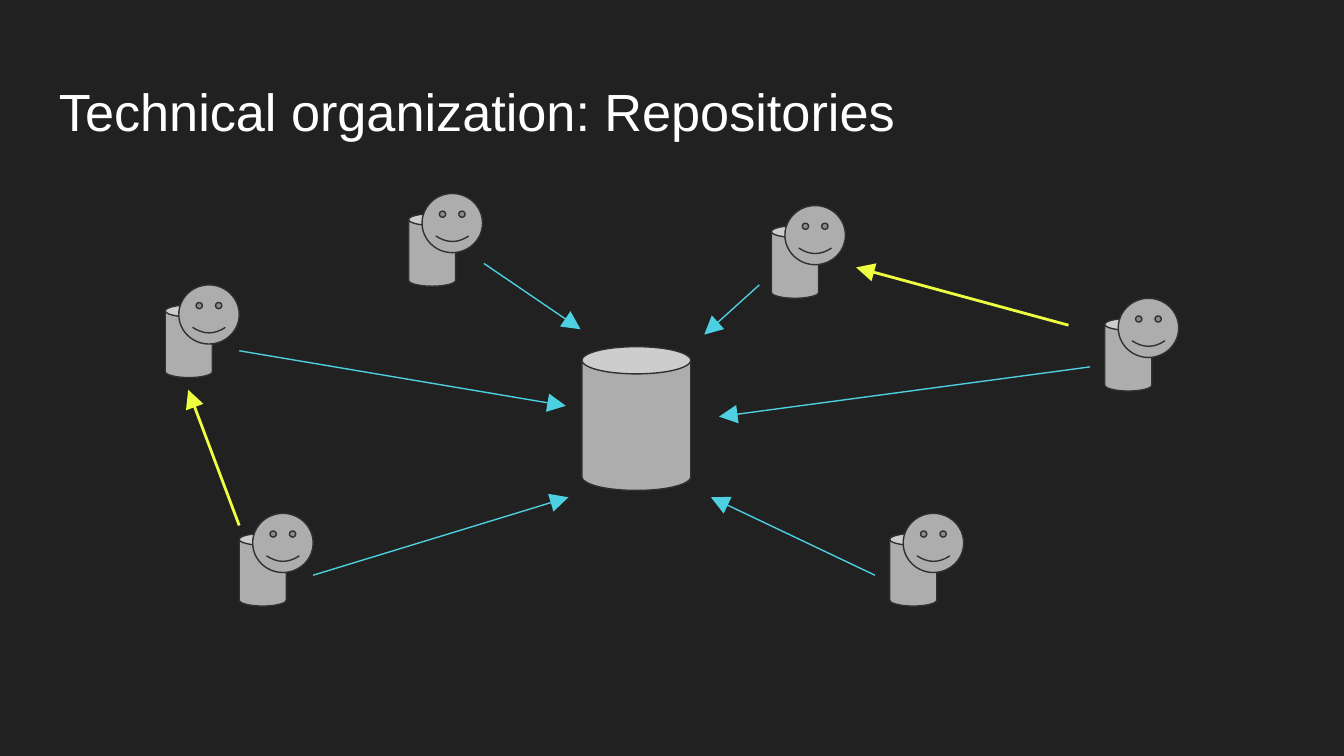
from lxml import etree
from pptx import Presentation
from pptx.dml.color import RGBColor
from pptx.enum import shapes, text
from pptx.oxml import ns
from pptx.util import Inches, Pt

BACKGROUND = RGBColor(0x21, 0x21, 0x21)
WHITE = RGBColor(0xFF, 0xFF, 0xFF)
GRAY = RGBColor(0xAD, 0xAD, 0xAD)
OUTLINE = RGBColor(0x30, 0x30, 0x30)
CYAN = RGBColor(0x4D, 0xD0, 0xE1)
YELLOW = RGBColor(0xEE, 0xFF, 0x41)

TITLE = "Technical organization: Repositories"
SHARED_REPOSITORY = (4.33, 2.58, 0.81, 1.07)
# Left and top of each developer: a local repository with a face in front
DEVELOPERS = [(1.78, 3.82), (1.23, 2.12), (6.62, 3.82),
              (5.74, 1.53), (3.04, 1.44), (8.22, 2.22)]
# Start and end of each arrow
PUSHES = [((1.78, 2.61), (4.21, 3.02)), ((2.33, 4.28), (4.23, 3.7)),
          ((3.6, 1.96), (4.32, 2.45)), ((5.65, 2.12), (5.24, 2.49)),
          ((8.11, 2.73), (5.35, 3.1)), ((6.51, 4.28), (5.29, 3.7))]
PEER_EXCHANGES = [((1.78, 3.91), (1.4, 2.9)), ((7.95, 2.42), (6.37, 1.99))]


def add_gray_shape(parent, kind, left, top, width, height):
    shape = parent.add_shape(kind, Inches(left), Inches(top),
                             Inches(width), Inches(height))
    shape.shadow.inherit = False
    shape.fill.solid()
    shape.fill.fore_color.rgb = GRAY
    shape.line.color.rgb = OUTLINE
    shape.line.width = Pt(0.75)
    return shape


def add_developer(slide, left, top):
    group = slide.shapes.add_group_shape()
    add_gray_shape(group.shapes, shapes.MSO_SHAPE.CAN,
                   left, top + 0.15, 0.35, 0.54)
    add_gray_shape(group.shapes, shapes.MSO_SHAPE.SMILEY_FACE,
                   left + 0.1, top, 0.45, 0.44)


def add_arrow(slide, start, end, color, width):
    arrow = slide.shapes.add_connector(
        shapes.MSO_CONNECTOR.STRAIGHT, *(Inches(v) for v in start + end))
    arrow.line.color.rgb = color
    arrow.line.width = Pt(width)
    etree.SubElement(arrow.line._get_or_add_ln(), ns.qn("a:tailEnd"),
                     type="triangle", w="lg", len="lg")
    etree.SubElement(arrow._element.spPr, ns.qn("a:effectLst"))


def add_title(slide):
    box = slide.shapes.add_textbox(Inches(0.34), Inches(0.49),
                                   Inches(9.32), Inches(0.63))
    frame = box.text_frame
    frame.text = TITLE
    frame.word_wrap = True
    frame.auto_size = text.MSO_AUTO_SIZE.NONE
    frame.vertical_anchor = text.MSO_ANCHOR.TOP
    frame.margin_left = frame.margin_right = Inches(0.1)
    frame.margin_top = frame.margin_bottom = Inches(0.1)
    font = frame.paragraphs[0].runs[0].font
    font.name = "Arial"
    font.size = Pt(28)
    font.color.rgb = WHITE


def main():
    deck = Presentation()
    deck.slide_width = Inches(10)
    deck.slide_height = deck.slide_width * 9 // 16
    slide = deck.slides.add_slide(deck.slide_layouts[6])
    slide.background.fill.solid()
    slide.background.fill.fore_color.rgb = BACKGROUND

    add_title(slide)
    add_gray_shape(slide.shapes, shapes.MSO_SHAPE.CAN, *SHARED_REPOSITORY)
    for left, top in DEVELOPERS:
        add_developer(slide, left, top)
    for start, end in PUSHES:
        add_arrow(slide, start, end, CYAN, 0.75)
    for start, end in PEER_EXCHANGES:
        add_arrow(slide, start, end, YELLOW, 1.5)
    deck.save("out.pptx")


if __name__ == "__main__":
    main()
